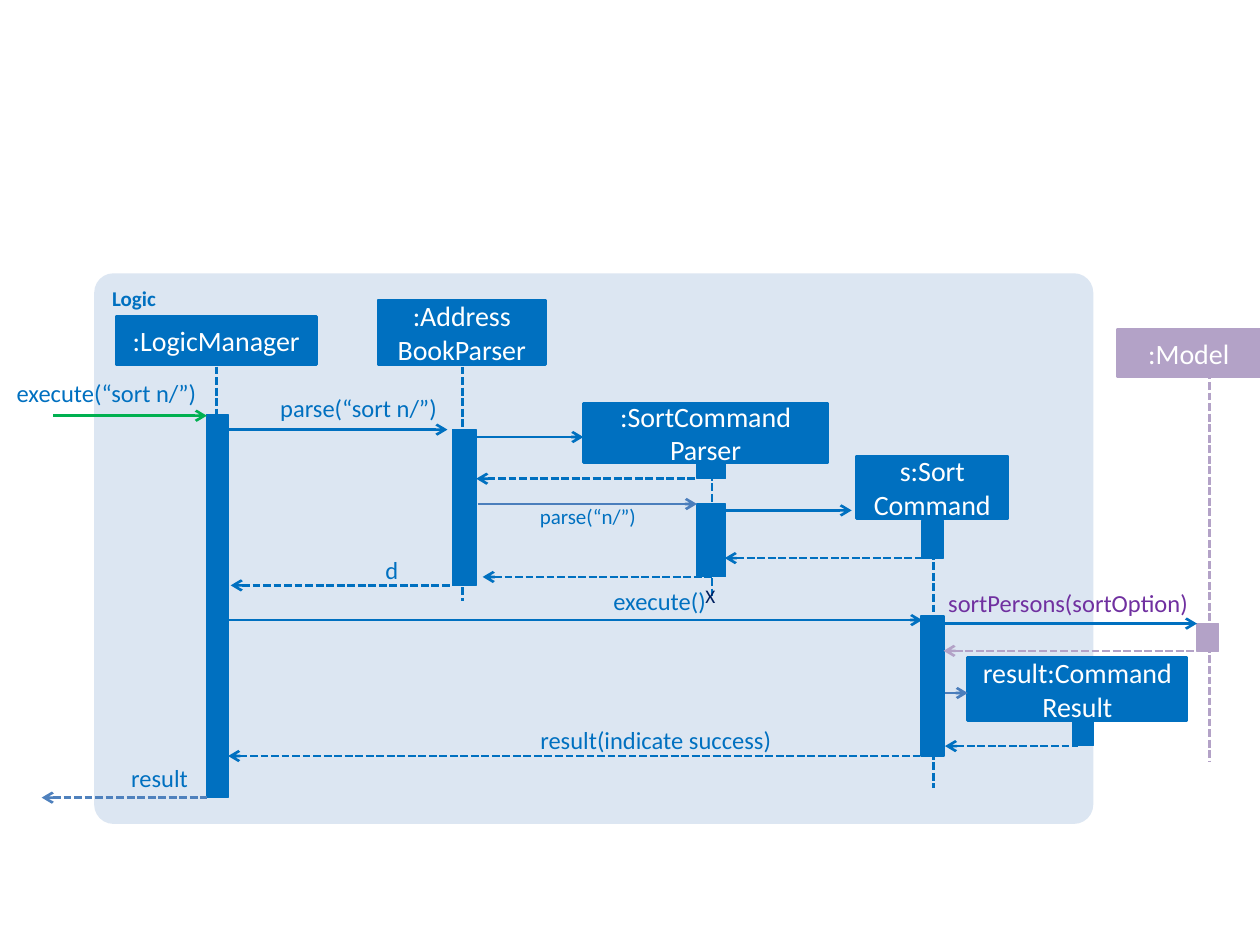
from lxml import etree
from pptx import Presentation
from pptx.dml.color import RGBColor
from pptx.enum.dml import MSO_LINE
from pptx.enum.shapes import MSO_CONNECTOR, MSO_SHAPE
from pptx.enum.text import MSO_ANCHOR, MSO_AUTO_SIZE, PP_ALIGN
from pptx.oxml.ns import qn
from pptx.util import Cm, Pt

RECT, ROUND = MSO_SHAPE.RECTANGLE, MSO_SHAPE.ROUNDED_RECTANGLE
STRAIGHT, DASH = MSO_CONNECTOR.STRAIGHT, MSO_LINE.SQUARE_DOT
LEFT, CENTER, RIGHT = PP_ALIGN.LEFT, PP_ALIGN.CENTER, PP_ALIGN.RIGHT
TOP, MIDDLE = MSO_ANCHOR.TOP, MSO_ANCHOR.MIDDLE
FIT = MSO_AUTO_SIZE.SHAPE_TO_FIT_TEXT

BLUE = RGBColor(0x00, 0x70, 0xC0)
STEEL = RGBColor(0x4F, 0x81, 0xBD)
SLATE = RGBColor(0x4B, 0x7E, 0xBC)
GREEN = RGBColor(0x00, 0xB0, 0x50)
LILAC = RGBColor(0xB3, 0xA2, 0xC7)
PURPLE = RGBColor(0x70, 0x30, 0xA0)
NAVY = RGBColor(0x00, 0x20, 0x60)
PALE = RGBColor(0xDC, 0xE6, 0xF2)
WHITE = RGBColor(0xFF, 0xFF, 0xFF)

# Content, all lengths in cm
PANEL = ("Logic", (1.9, 5.51, 20.14, 11.1))

# x, top, bottom, colour
LIFELINES = [
    (4.37, 7.39, 14.61, BLUE),
    (9.32, 7.39, 12.12, BLUE),
    (14.35, 9.32, 12.07, BLUE),
    (18.82, 10.49, 15.88, BLUE),
    (24.38, 7.49, 15.37, LILAC),
]

# text, (left, top, width, height), colour
PARTICIPANTS = [
    (":LogicManager", (2.34, 6.38, 4.04, 0.97), BLUE),
    (":Address\nBookParser", (7.62, 6.05, 3.38, 1.3), BLUE),
    (":SortCommand\nParser", (11.76, 8.13, 4.93, 1.19), BLUE),
    ("s:Sort\vCommand", (17.27, 9.19, 3.05, 1.27), BLUE),
    ("result:Command Result", (19.51, 13.26, 4.42, 1.27), BLUE),
    (":Model", (22.53, 6.63, 2.87, 0.97), LILAC),
]

# (left, top, width, height), colour
ACTIVATIONS = [
    ((4.17, 8.36, 0.43, 7.72), BLUE),
    ((9.12, 8.66, 0.48, 3.15), BLUE),
    ((14.05, 9.32, 0.58, 0.33), BLUE),
    ((14.05, 10.16, 0.58, 1.47), BLUE),
    ((18.59, 10.49, 0.43, 0.76), BLUE),
    ((18.57, 12.42, 0.46, 2.82), BLUE),
    ((21.62, 14.55, 0.43, 0.48), BLUE),
    ((24.13, 12.57, 0.43, 0.56), LILAC),
]

# left end, right end, y, colour
CALLS = [
    (1.07, 4.17, 8.38, GREEN),
    (4.6, 9.02, 8.66, BLUE),
    (9.47, 11.76, 8.81, BLUE),
    (9.63, 14.05, 10.16, SLATE),
    (14.61, 17.17, 10.29, BLUE),
    (4.6, 18.59, 12.5, BLUE),
    (19.02, 24.13, 12.57, BLUE),
    (19.05, 19.51, 13.97, SLATE),
]
REPLIES = [
    (9.6, 14.05, 9.65, BLUE),
    (14.61, 18.75, 11.25, BLUE),
    (9.73, 14.35, 11.63, BLUE),
    (4.65, 9.07, 11.8, BLUE),
    (19.02, 24.13, 13.12, LILAC),
    (19.05, 21.74, 15.04, BLUE),
    (4.6, 18.62, 15.24, BLUE),
    (0.84, 4.17, 16.08, STEEL),
]

# text, (left, top, width, height), size, colour
LABELS = [
    ("execute(“sort n/”)", (0, 7.62, 3.96, 0.61), 14, BLUE),
    ("parse(“sort n/”)", (4.85, 7.92, 3.96, 0.61), 14, BLUE),
    ("parse(“n/”)", (10.69, 10.16, 2.13, 0.51), 12, BLUE),
    ("d", (7.42, 11.18, 0.61, 0.61), 14, BLUE),
    ("execute()", (11.84, 11.81, 2.39, 0.61), 14, BLUE),
    ("sortPersons(sortOption)", (18.72, 11.86, 5.23, 0.61), 14, PURPLE),
    ("result(indicate success)", (9.96, 14.61, 5.59, 0.61), 14, BLUE),
    ("result", (1.68, 15.39, 2.11, 0.61), 14, BLUE),
]
DESTROY = ("X", (13.97, 11.66, 0.71, 0.74), 11, NAVY)


def set_all(obj, values):
    for name, value in values.items():
        setattr(obj, name, value)


def write(sp, text, size, color, align, frame, bold=False):
    tf = sp.text_frame
    tf.text = text
    set_all(tf, frame)
    for p in tf.paragraphs:
        p.alignment = align
        for r in p.runs:
            set_all(r.font, {"name": "Calibri", "size": Pt(size), "bold": bold})
            r.font.color.rgb = color


def add_block(s, kind, box, color, width=None):
    sp = s.shapes.add_shape(kind, *map(Cm, box))
    sp.shadow.inherit = False
    sp.fill.solid()
    sp.fill.fore_color.rgb = color
    if width:
        sp.line.color.rgb = color
        sp.line.width = Pt(width)
    else:
        sp.line.fill.background()
    return sp


def add_line(s, x1, y1, x2, y2, color, dash=None, arrow=None):
    line = s.shapes.add_connector(STRAIGHT, *map(Cm, (x1, y1, x2, y2)))
    line.line.color.rgb = color
    set_all(line.line, {"width": Pt(1.5), "dash_style": dash})
    if arrow:
        ln = line.line._get_or_add_ln()
        etree.SubElement(ln, qn(arrow), type="arrow")
    etree.SubElement(line._element.spPr, qn("a:effectLst"))


def add_label(s, text, box, size, color, align=RIGHT, inset=0, wrap=True):
    sp = s.shapes.add_textbox(*map(Cm, box))
    frame = {"word_wrap": wrap, "auto_size": FIT}
    if inset is not None:
        for side in ("left", "top", "right", "bottom"):
            frame[f"margin_{side}"] = Cm(inset)
    write(sp, text, size, color, align, frame)


def main():
    prs = Presentation()
    prs.slide_width, prs.slide_height = Cm(25.4), Cm(19.05)
    s = prs.slides.add_slide(prs.slide_layouts[6])

    # Component panel
    title, box = PANEL
    sp = add_block(s, ROUND, box, PALE)
    sp.adjustments[0] = 0.035
    write(sp, title, 12, BLUE, LEFT, {"vertical_anchor": TOP}, bold=True)

    # Lifelines, participants and activation bars
    for x, top, bottom, color in LIFELINES:
        add_line(s, x, top, x, bottom, color, DASH)
    for text, box, color in PARTICIPANTS:
        sp = add_block(s, RECT, box, color, 1.5)
        write(sp, text, 16, WHITE, CENTER, {"vertical_anchor": MIDDLE})
    for box, color in ACTIVATIONS:
        add_block(s, RECT, box, color, 0.75)

    # Messages: calls point right, replies point left
    for x1, x2, y, color in CALLS:
        add_line(s, x1, y, x2, y, color, arrow="a:tailEnd")
    for x1, x2, y, color in REPLIES:
        add_line(s, x1, y, x2, y, color, DASH, "a:headEnd")

    # Message labels and the end of the parser
    for label in LABELS:
        add_label(s, *label)
    add_label(s, *DESTROY, align=LEFT, inset=None, wrap=False)

    prs.save("out.pptx")


if __name__ == "__main__":
    main()
